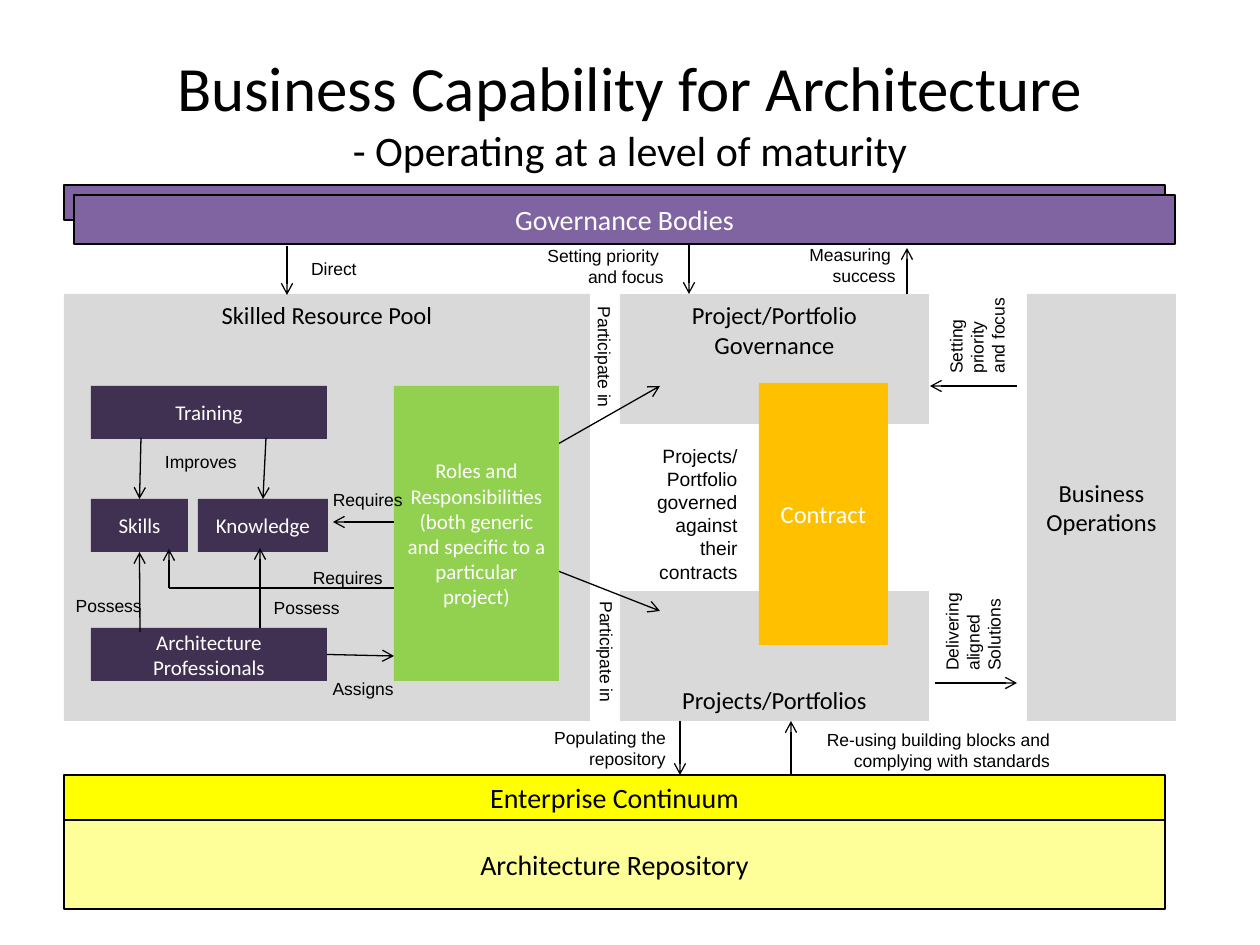
from lxml import etree
from pptx import Presentation, util as u
from pptx.dml.color import RGBColor
from pptx.enum import shapes, text
from pptx.oxml import ns

PX = 914400 / 126
BLACK = RGBColor(0, 0, 0)
WHITE = RGBColor(255, 255, 255)
PURPLE = RGBColor(0x80, 0x64, 0xA2)
DARK_PURPLE = RGBColor(0x40, 0x31, 0x52)
GREY = RGBColor(0xD9, 0xD9, 0xD9)
GREEN = RGBColor(0x92, 0xD0, 0x50)
ORANGE = RGBColor(0xFF, 0xC0, 0x00)
YELLOW = RGBColor(0xFF, 0xFF, 0x00)
PALE_YELLOW = RGBColor(0xFF, 0xFF, 0x99)
TOP, MIDDLE, BOTTOM = (text.MSO_ANCHOR.TOP, text.MSO_ANCHOR.MIDDLE,
                       text.MSO_ANCHOR.BOTTOM)
LEFT, CENTER, RIGHT = text.PP_ALIGN.LEFT, text.PP_ALIGN.CENTER, text.PP_ALIGN.RIGHT
SIDE_TOP, SIDE_BOTTOM, SIDE_RIGHT = 0, 2, 3


def px(*lengths):
    return [u.Emu(round(length * PX)) for length in lengths]


def set_format(target, **values):
    for name, value in values.items():
        setattr(target, name, value)


class Diagram:
    heading_font = "Calibri"
    label_font = "Arial"

    def __init__(self, deck):
        self.slide = deck.slides.add_slide(deck.slide_layouts[5])

    def add_span(self, para, words, font, size, color):
        span = para.add_run()
        span.text = words
        set_format(span.font, name=font, size=u.Pt(size))
        span.font.color.rgb = color

    def fill_frame(self, frame, lines, font, size, color, align):
        for index, words in enumerate(lines):
            para = frame.add_paragraph() if index else frame.paragraphs[0]
            para.alignment = align
            self.add_span(para, words, font, size, color)

    def title(self, place, main_line, sub_line):
        box = self.slide.shapes.title
        box.left, box.top, box.width, box.height = px(*place)
        set_format(box.text_frame, word_wrap=True, vertical_anchor=MIDDLE,
                   auto_size=text.MSO_AUTO_SIZE.NONE)
        para = box.text_frame.paragraphs[0]
        para.alignment = CENTER
        self.add_span(para, main_line, self.heading_font, 36, BLACK)
        para.add_line_break()
        self.add_span(para, sub_line, self.heading_font, 24, BLACK)

    def block(self, place, fill, *lines, size=14, color=BLACK, anchor=MIDDLE,
              outlined=False):
        box = self.slide.shapes.add_shape(shapes.MSO_SHAPE.RECTANGLE, *px(*place))
        box.shadow.inherit = False
        box.fill.solid()
        box.fill.fore_color.rgb = fill
        if outlined:
            box.line.color.rgb = BLACK
            box.line.width = u.Pt(1)
        else:
            box.line.fill.background()
        set_format(box.text_frame, word_wrap=True, vertical_anchor=anchor)
        self.fill_frame(box.text_frame, lines, self.heading_font, size, color, CENTER)
        return box

    def label(self, place, *lines, size=10, align=RIGHT, rotation=0):
        box = self.slide.shapes.add_textbox(*px(*place))
        box.rotation = rotation
        set_format(box.text_frame, word_wrap=True,
                   auto_size=text.MSO_AUTO_SIZE.SHAPE_TO_FIT_TEXT)
        self.fill_frame(box.text_frame, lines, self.label_font, size, BLACK, align)

    def line(self, x1, y1, x2, y2, arrow=True, begin=None, end=None):
        """Draw a line; begin and end are (box, side) pairs to join."""
        line = self.slide.shapes.add_connector(
            shapes.MSO_CONNECTOR.STRAIGHT, *px(x1, y1, x2, y2))
        line.line.color.rgb = BLACK
        line.line.width = u.Pt(0.75)
        if begin:
            line.begin_connect(*begin)
        if end:
            line.end_connect(*end)
        properties = line._element.spPr
        if arrow:
            outline = properties.find(ns.qn("a:ln"))
            etree.SubElement(outline, ns.qn("a:tailEnd"), type="arrow")
        etree.SubElement(properties, ns.qn("a:effectLst"))


def draw_areas(diagram):
    bar = dict(size=16, outlined=True)
    diagram.block((64, 185, 1101, 35), PURPLE, outlined=True)
    diagram.block((74, 195, 1101, 49), PURPLE, "Governance Bodies", color=WHITE, **bar)
    diagram.block((64, 294, 526, 427), GREY, "Skilled Resource Pool", anchor=TOP)
    diagram.block((620, 294, 309, 130), GREY, "Project/Portfolio Governance", anchor=TOP)
    diagram.block((1027, 294, 149, 427), GREY, "Business Operations")
    diagram.block((64, 820, 1101, 89), PALE_YELLOW, "Architecture Repository", **bar)
    diagram.block((64, 775, 1101, 45), YELLOW, "Enterprise Continuum", **bar)
    diagram.block((620, 591, 309, 130), GREY, "Projects/Portfolios", anchor=BOTTOM)
    diagram.block((759, 383, 129, 262), ORANGE, "Contract", color=WHITE)


def draw_flows(diagram):
    """Arrows and labels between the large areas."""
    diagram.label((626, 438, 124, 152),
                  "Projects/ Portfolio governed against their contracts", size=11)
    diagram.label((501, 239, 175, 55), "Setting priority ", "and focus")
    diagram.label((733, 238, 175, 55), "Measuring ", "success")
    diagram.label((296, 252, 73, 34), "Direct")
    diagram.label((503, 721, 175, 55), "Populating the repository")
    diagram.label((799, 723, 263, 55),
                  "Re-using building blocks and complying with standards")
    diagram.label((517, 365, 175, 34), "Participate in", align=LEFT, rotation=90)
    diagram.label((519, 615, 175, 34), "Participate in ", rotation=90)
    diagram.label((920, 290, 115, 77), "Setting", "priority", "and focus",
                  align=LEFT, rotation=270)
    diagram.label((916, 587, 115, 77), "Delivering aligned Solutions",
                  align=LEFT, rotation=270)
    for ends in ((689, 244, 689, 294), (907, 294, 907, 248), (287, 246, 287, 295),
                 (680, 721, 680, 775), (791, 775, 791, 721), (558, 444, 660, 386),
                 (558, 571, 660, 611), (1017, 386, 930, 386), (935, 683, 1017, 683)):
        diagram.line(*ends)


def draw_resource_pool(diagram):
    diagram.block((394, 386, 165, 295), GREEN, "Roles and Responsibilities",
                  "(both generic and specific to a particular project)",
                  size=12, color=WHITE)
    training, professionals, skills, knowledge = [
        diagram.block((left, top, width, 53), DARK_PURPLE, words, size=12, color=WHITE)
        for left, top, width, words in (
            (91, 386, 236, "Training"), (91, 628, 236, "Architecture Professionals"),
            (91, 499, 97, "Skills"), (198, 499, 130, "Knowledge"))]
    diagram.line(141, 438, 140, 499, end=(skills, SIDE_TOP))
    diagram.line(266, 438, 264, 499, end=(knowledge, SIDE_TOP))
    diagram.line(140, 632, 140, 552, end=(skills, SIDE_BOTTOM))
    diagram.line(260, 628, 260, 548)
    diagram.line(169, 588, 169, 549)
    diagram.line(394, 522, 333, 522)
    diagram.line(327, 655, 394, 656, begin=(professionals, SIDE_RIGHT))
    diagram.line(169, 588, 394, 588, arrow=False)
    for left, top, words in ((295, 561, "Requires"), (315, 483, "Requires"),
                             (149, 445, "Improves"), (54, 589, "Possess"),
                             (252, 591, "Possess"), (306, 672, "Assigns")):
        diagram.label((left, top, 100, 34), words)


def main():
    deck = Presentation()
    deck.slide_width, deck.slide_height = px(1260, 945)
    diagram = Diagram(deck)
    diagram.title((63, 38, 1134, 147), "Business Capability for Architecture",
                  "- Operating at a level of maturity")
    draw_areas(diagram)
    draw_flows(diagram)
    draw_resource_pool(diagram)
    deck.save("out.pptx")


if __name__ == "__main__":
    main()
